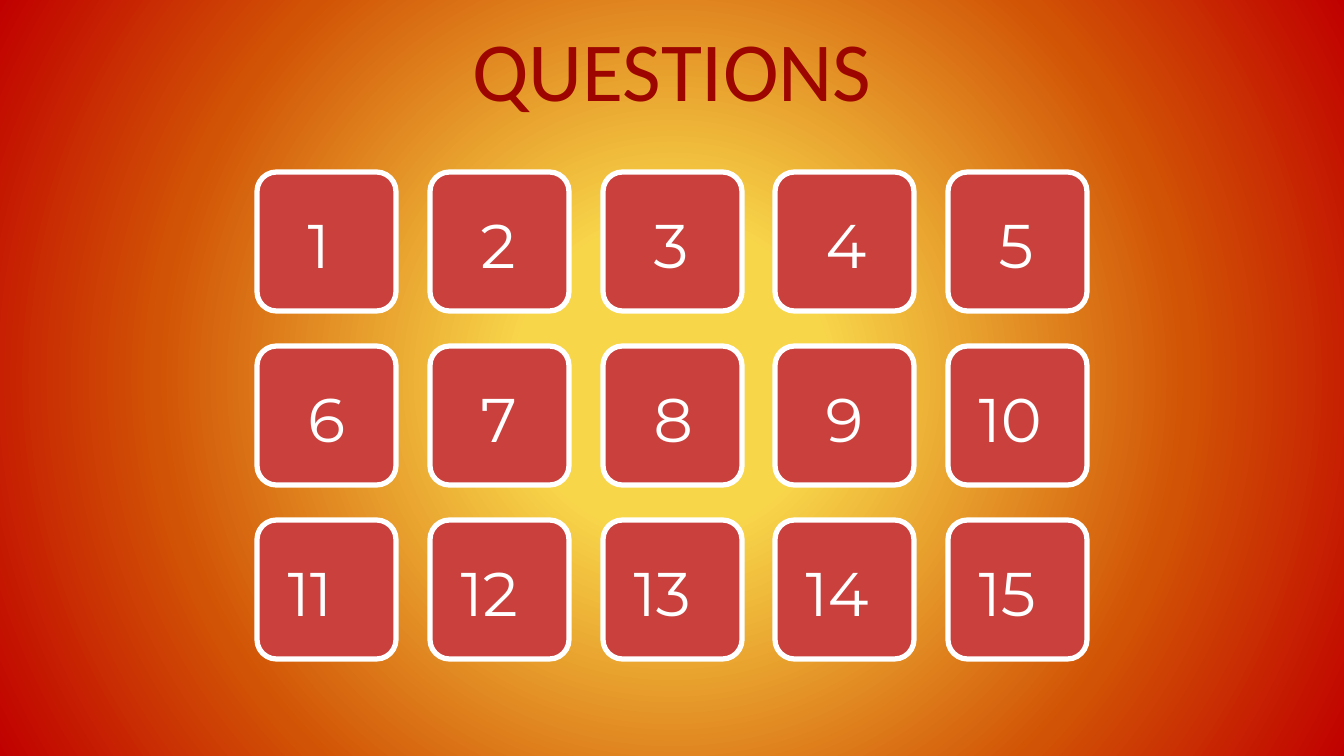
from dataclasses import dataclass

from pptx import Presentation
from pptx.dml.color import RGBColor
from pptx.enum.shapes import MSO_SHAPE
from pptx.enum.text import MSO_ANCHOR, MSO_AUTO_SIZE, PP_ALIGN
from pptx.oxml import parse_xml
from pptx.oxml.ns import nsdecls
from pptx.util import Emu, Pt

SLIDE_WIDTH, SLIDE_HEIGHT = 1344, 756
EMU_PER_PX = 12192000 / SLIDE_WIDTH


@dataclass(frozen=True)
class Theme:
    glow: tuple = ((20, "F8D64A"), (67, "D15305"), (100, "C00000"))
    tile: str = "CA403C"
    outline: str = "FFFFFF"
    outline_width: float = 3.75
    number: tuple = ("Montserrat", 44, "FFFFFF")
    title: tuple = ("Calibri", 60, "9C0500")


def px(length):
    return Emu(round(length * EMU_PER_PX))


def apply_format(target, values):
    for name, value in values.items():
        setattr(target, name, value)


class SlideBuilder:
    def __init__(self, page, theme):
        self.page = page
        self.theme = theme

    def background(self):
        stops = "".join(
            f'<a:gs pos="{position * 1000}"><a:srgbClr val="{color}"/></a:gs>'
            for position, color in self.theme.glow
        )
        background = parse_xml(
            f'<p:bg {nsdecls("p", "a")}><p:bgPr><a:gradFill rotWithShape="1">'
            f'<a:gsLst>{stops}</a:gsLst><a:path path="circle">'
            '<a:fillToRect l="50000" t="50000" r="50000" b="50000"/></a:path>'
            "</a:gradFill><a:effectLst/></p:bgPr></p:bg>"
        )
        self.page.element.cSld.insert(0, background)

    def set_text(self, box, text, style, margins, frame_format, para_format):
        frame = box.text_frame
        sides = ("margin_left", "margin_top", "margin_right", "margin_bottom")
        apply_format(frame, dict(zip(sides, map(px, margins))))
        apply_format(frame, {"word_wrap": True, **frame_format})
        para = frame.paragraphs[0]
        apply_format(para, para_format)
        span = para.add_run()
        span.text = text
        name, size, color = style
        apply_format(span.font, {"name": name, "size": Pt(size)})
        span.font.color.rgb = RGBColor.from_string(color)

    def title(self, text, left, top, width, height):
        box = self.page.shapes.add_textbox(*map(px, (left, top, width, height)))
        self.set_text(
            box, text, self.theme.title, (0, 0, 0, 0),
            {"auto_size": MSO_AUTO_SIZE.SHAPE_TO_FIT_TEXT},
            {"alignment": PP_ALIGN.CENTER, "line_spacing": Pt(48.7)},
        )

    def tile(self, number, left, top, side):
        box = self.page.shapes.add_shape(
            MSO_SHAPE.ROUNDED_RECTANGLE, *map(px, (left, top, side, side))
        )
        box.adjustments[0] = 0.14
        box.shadow.inherit = False
        box.fill.solid()
        box.fill.fore_color.rgb = RGBColor.from_string(self.theme.tile)
        box.line.color.rgb = RGBColor.from_string(self.theme.outline)
        box.line.width = Pt(self.theme.outline_width)
        # Two-digit numbers start further left
        margins = (45, 5, 5, 0) if number < 10 else (25, 5, 15, 0)
        self.set_text(
            box, str(number), self.theme.number, margins,
            {"vertical_anchor": MSO_ANCHOR.MIDDLE},
            {"alignment": PP_ALIGN.LEFT},
        )


def main():
    deck = Presentation()
    deck.slide_width, deck.slide_height = px(SLIDE_WIDTH), px(SLIDE_HEIGHT)
    page = deck.slides.add_slide(deck.slide_layouts[6])
    builder = SlideBuilder(page, Theme())

    # Backdrop and heading
    builder.background()
    builder.title("QUESTIONS", 452, 50, 440, 77)

    # Question grid
    columns, rows, side = 5, 3, 139
    first_left, last_left = 257, 948
    first_top, row_step = 172, 174
    for index in range(columns * rows):
        row, column = divmod(index, columns)
        left = first_left + round((last_left - first_left) * column / (columns - 1))
        builder.tile(index + 1, left, first_top + row * row_step, side)

    deck.save("out.pptx")


if __name__ == "__main__":
    main()
